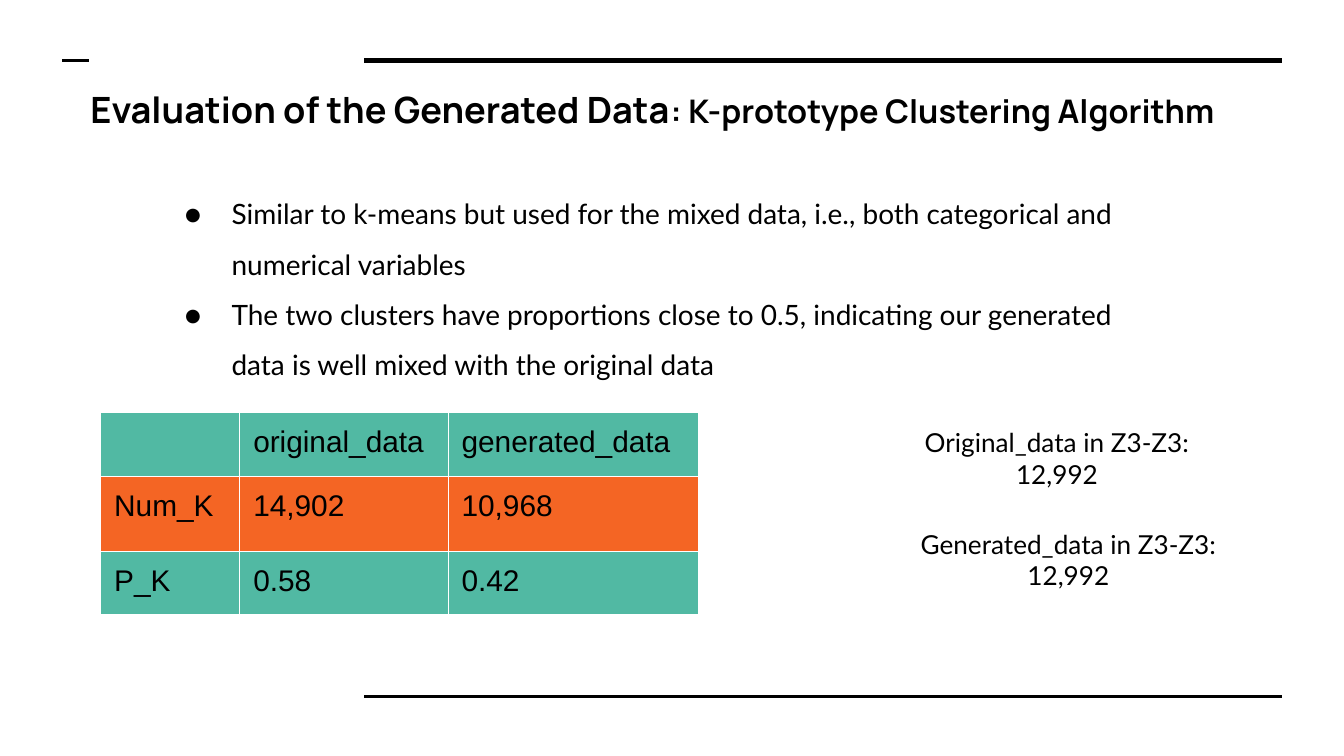
"""Build the slide on evaluating generated data with K-prototype clustering."""
from typing import NamedTuple

from lxml.etree import SubElement
from pptx import Presentation
from pptx.dml.color import RGBColor
from pptx.enum.shapes import MSO_CONNECTOR as Connector
from pptx.enum.text import PP_ALIGN as Align
from pptx.oxml import parse_xml
from pptx.oxml.ns import nsdecls, qn
from pptx.util import Emu, Pt

EMU_PER_PX = 4572
COLORS = {"ink": "000000", "border": "FFFFFF", "green": "51B9A3", "orange": "F46524"}
INSET = 20


class Rule(NamedTuple):
    left: int
    right: int
    y: int
    weight: float


class Run(NamedTuple):
    text: str
    size: float


class TextBlock(NamedTuple):
    left: int
    top: int
    width: int
    height: int
    paragraphs: list[list[Run]]
    font: str = "Lato"
    bold: bool = False
    align: Align = Align.LEFT
    bulleted: bool = False


class TableRow(NamedTuple):
    height: int
    fill: str
    cells: list[str]


RULES = [
    Rule(542, 1908, 90, 3),
    Rule(542, 1908, 1036, 1.5),
    Rule(93, 133, 90, 1.5),
]
BLOCKS = [
    TextBlock(115, 110, 1885, 134, [[
        Run("Evaluation of the Generated Data", 19.4),
        Run(": K-prototype Clustering Algorithm", 17.4),
    ]], font="Manrope", bold=True),
    TextBlock(1333, 615, 480, 134, [
        [Run("Original_data in Z3-Z3:", 14)], [Run("12,992", 14)],
    ], align=Align.CENTER),
    TextBlock(1333, 766, 514, 134, [
        [Run("Generated_data in Z3-Z3:", 14)], [Run("12,992", 14)],
    ], align=Align.CENTER),
    TextBlock(225, 248, 1506, 318, [
        [Run("Similar to k-means but used for the mixed data, i.e., both categorical "
             "and numerical variables", 15)],
        [Run("The two clusters have proportions close to 0.5, indicating our generated "
             "data is well mixed with the original data", 15)],
    ], bulleted=True),
]
TABLE_LEFT, TABLE_TOP = 150, 614
COLUMN_WIDTHS = [207, 310, 372]
TABLE_ROWS = [
    TableRow(95, "green", ["", "original_data", "generated_data"]),
    TableRow(112, "orange", ["Num_K", "14,902", "10,968"]),
    TableRow(94, "green", ["P_K", "0.58", "0.42"]),
]


def px(length: int) -> Emu:
    """Convert px to EMU."""
    return Emu(length * EMU_PER_PX)


def color(name: str) -> RGBColor:
    """Look up a named colour."""
    return RGBColor.from_string(COLORS[name])


def set_insets(target) -> None:
    """Give a text frame or a cell equal margins."""
    target.margin_left = target.margin_right = px(INSET)
    target.margin_top = target.margin_bottom = px(INSET)


def set_font(font, name: str, size: float, bold: bool = False) -> None:
    """Style a font in the ink colour."""
    font.name = name
    font.size = Pt(size)
    font.bold = bold
    font.color.rgb = color("ink")


def add_bullet(paragraph, font: str, size: float) -> None:
    """Give a paragraph a hanging round bullet and wide line spacing."""
    paragraph.line_spacing = 1.5
    properties = paragraph._p.get_or_add_pPr()
    properties.set("marL", str(px(100)))
    properties.set("indent", str(px(-70)))
    bullet_color = SubElement(properties, qn("a:buClr"))
    SubElement(bullet_color, qn("a:srgbClr"), val=COLORS["ink"])
    SubElement(properties, qn("a:buSzPts"), val=str(int(size * 100)))
    SubElement(properties, qn("a:buFont"), typeface=font)
    SubElement(properties, qn("a:buChar"), char="●")


def draw_rule(slide, rule: Rule) -> None:
    """Draw a horizontal line without a shadow."""
    connector = slide.shapes.add_connector(
        Connector.STRAIGHT, px(rule.left), px(rule.y), px(rule.right), px(rule.y))
    connector.line.color.rgb = color("ink")
    connector.line.width = Pt(rule.weight)
    SubElement(connector._element.spPr, qn("a:effectLst"))


def draw_text(slide, block: TextBlock) -> None:
    """Draw a text box."""
    shape = slide.shapes.add_textbox(
        px(block.left), px(block.top), px(block.width), px(block.height))
    frame = shape.text_frame
    frame.word_wrap = True
    set_insets(frame)
    for index, runs in enumerate(block.paragraphs):
        paragraph = frame.add_paragraph() if index else frame.paragraphs[0]
        paragraph.alignment = block.align
        if block.bulleted:
            add_bullet(paragraph, block.font, runs[0].size)
        set_font(paragraph.font, block.font, runs[0].size, block.bold)
        for item in runs:
            run = paragraph.add_run()
            run.text = item.text
            if item.size != runs[0].size:
                run.font.size = Pt(item.size)


def add_borders(cell) -> None:
    """Outline all four sides of a cell."""
    properties = cell._tc.get_or_add_tcPr()
    for index, side in enumerate(("lnL", "lnR", "lnT", "lnB")):
        properties.insert(index, parse_xml(
            f'<a:{side} {nsdecls("a")} w="{Pt(0.75)}"><a:solidFill>'
            f'<a:srgbClr val="{COLORS["border"]}"/></a:solidFill></a:{side}>'))


def draw_table(slide, rows: list[TableRow]) -> None:
    """Draw the table of cluster sizes and proportions."""
    table = slide.shapes.add_table(
        len(rows), len(COLUMN_WIDTHS), px(TABLE_LEFT), px(TABLE_TOP),
        px(sum(COLUMN_WIDTHS)), px(sum(row.height for row in rows))).table
    for column, width in zip(table.columns, COLUMN_WIDTHS):
        column.width = px(width)
    for table_row, row in zip(table.rows, rows):
        table_row.height = px(row.height)
        for cell, text in zip(table_row.cells, row.cells):
            cell.text = text
            set_insets(cell)
            cell.fill.solid()
            cell.fill.fore_color.rgb = color(row.fill)
            add_borders(cell)
            set_font(cell.text_frame.paragraphs[0].font, "Arial", 16)


def main() -> None:
    """Build and save the presentation."""
    presentation = Presentation()
    presentation.slide_width, presentation.slide_height = px(2000), px(1125)
    slide = presentation.slides.add_slide(presentation.slide_layouts[6])
    for rule in RULES:
        draw_rule(slide, rule)
    draw_table(slide, TABLE_ROWS)
    for block in BLOCKS:
        draw_text(slide, block)
    presentation.save("out.pptx")


if __name__ == "__main__":
    main()
